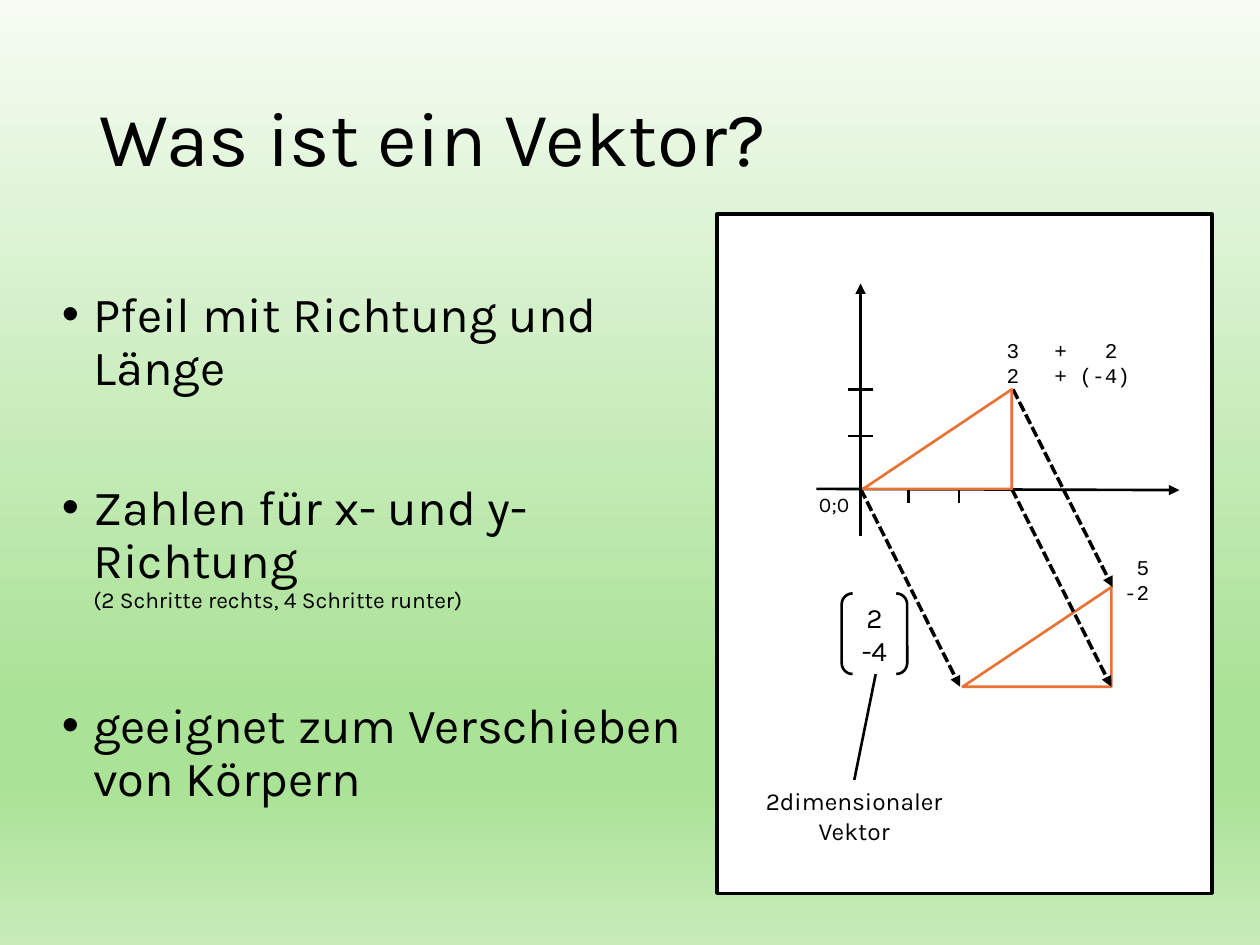
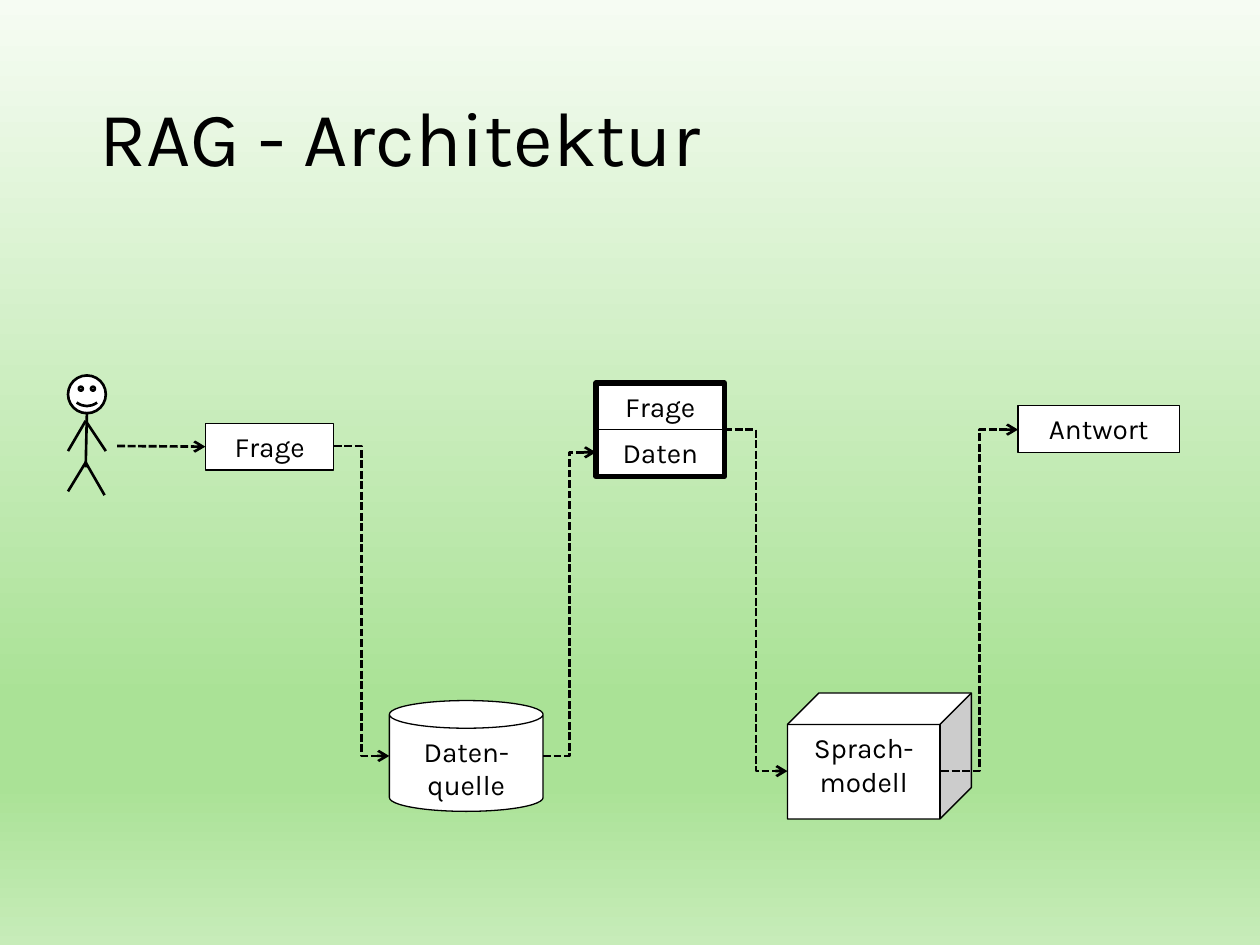
from dataclasses import dataclass

from lxml import etree
from pptx import Presentation
from pptx import util as u
from pptx.dml import color
from pptx.enum import dml, shapes, text
from pptx.oxml import ns

Inches = u.Inches
SHAPE = shapes.MSO_SHAPE
CENTER = text.PP_ALIGN.CENTER
LEFT = text.PP_ALIGN.LEFT
RIGHT = text.PP_ALIGN.RIGHT


@dataclass(frozen=True)
class Theme:
    ink: str = "000000"
    paper: str = "FFFFFF"
    accent: str = "E97132"
    backdrop: tuple = ((0, "F6FCF3"), (74, "AAE296"), (83, "AAE296"), (100, "C7ECB9"))
    font: str = "Karla"
    mono: str = "Courier New"
    title: int = 44
    body: int = 28
    label: int = 16
    caption: int = 14
    remark: int = 13
    small: int = 12
    thin: float = 0.75
    medium: float = 1.5
    strong: float = 2
    heavy: float = 3


def rgb(value):
    return color.RGBColor.from_string(value)


def add_xml(parent, tag, **attributes):
    return etree.SubElement(parent, ns.qn(tag), {k: str(v) for k, v in attributes.items()})


class Deck:
    def __init__(self, theme):
        self.theme = theme
        self.prs = Presentation()
        self.prs.slide_width, self.prs.slide_height = Inches(10), Inches(7.5)
        self.slide = None
        self.paint_master()

    def paint_master(self):
        """Give every slide the vertical green gradient."""
        master = self.prs.slide_master
        fill = master.background.fill
        fill.gradient()
        fill.gradient_angle = 270
        stops = master.element.find(".//" + ns.qn("a:gsLst"))
        for stop in list(stops):
            stops.remove(stop)
        for percent, value in self.theme.backdrop:
            add_xml(add_xml(stops, "a:gs", pos=percent * 1000), "a:srgbClr", val=value)

    def new_slide(self, title, layout):
        self.slide = self.prs.slides.add_slide(self.prs.slide_layouts[layout])
        heading = self.slide.shapes.title
        self.place(heading, 0.69, 0.4, 8.62, 1.45)
        frame = heading.text_frame
        frame.auto_size = text.MSO_AUTO_SIZE.NONE
        frame.vertical_anchor = text.MSO_ANCHOR.MIDDLE
        self.set_lines(frame, [title], self.theme.title, align=LEFT)
        frame.paragraphs[0].line_spacing = 0.9

    def place(self, shape, left, top, width, height):
        shape.left, shape.top = Inches(left), Inches(top)
        shape.width, shape.height = Inches(width), Inches(height)

    def add_run(self, paragraph, words, size, font=None):
        run = paragraph.add_run()
        run.text = words
        run.font.size = u.Pt(size)
        run.font.name = font or self.theme.font
        run.font.color.rgb = rgb(self.theme.ink)

    def set_lines(self, frame, lines, size, font=None, align=CENTER):
        for index, line in enumerate(lines):
            paragraph = frame.add_paragraph() if index else frame.paragraphs[0]
            paragraph.alignment = align
            self.add_run(paragraph, line, size, font)

    def bullets(self, items, left, top, width, height):
        """Each item is its main words and an optional small second line."""
        body = self.slide.placeholders[1]
        self.place(body, left, top, width, height)
        frame = body.text_frame
        frame.auto_size = text.MSO_AUTO_SIZE.NONE
        for index, (words, remark) in enumerate(items):
            paragraph = frame.add_paragraph() if index else frame.paragraphs[0]
            paragraph.line_spacing = 0.9
            paragraph.space_before = u.Pt(50 if index else 0)
            props = paragraph._p.get_or_add_pPr()
            props.set("marL", str(Inches(0.25)))
            props.set("indent", str(Inches(-0.25)))
            self.add_run(paragraph, words, self.theme.body)
            if remark:
                paragraph.add_line_break()
                add_xml(paragraph._p[-1], "a:rPr", sz=self.theme.body * 100)
                self.add_run(paragraph, remark, self.theme.remark)

    def label(self, lines, left, top, width, height, size, font=None, align=CENTER):
        box = self.slide.shapes.add_textbox(
            Inches(left), Inches(top), Inches(width), Inches(height))
        box.text_frame.word_wrap = True
        self.set_lines(box.text_frame, lines, size, font, align)
        return box

    def shape(self, kind, left, top, width, height, weight, line=None, filled=True, words=None):
        item = self.slide.shapes.add_shape(
            kind, Inches(left), Inches(top), Inches(width), Inches(height))
        item.shadow.inherit = False
        if filled:
            item.fill.solid()
            item.fill.fore_color.rgb = rgb(self.theme.paper)
        else:
            item.fill.background()
        item.line.color.rgb = rgb(line or self.theme.ink)
        item.line.width = u.Pt(weight)
        if words:
            item.text_frame.vertical_anchor = text.MSO_ANCHOR.TOP
            self.set_lines(item.text_frame, [words], self.theme.label)
        return item

    def line(self, start, end, weight=None, head=None, dashed=False,
             kind=shapes.MSO_CONNECTOR.STRAIGHT):
        link = self.slide.shapes.add_connector(
            kind, *(Inches(value) for value in (*start, *end)))
        link.line.color.rgb = rgb(self.theme.ink)
        link.line.width = u.Pt(weight or self.theme.medium)
        if dashed:
            link.line.dash_style = dml.MSO_LINE.SQUARE_DOT
            link.line._ln.find(ns.qn("a:prstDash")).set("val", "sysDash")
        if head:
            add_xml(link.line._ln, "a:tailEnd", type=head)
        add_xml(link._element.spPr, "a:effectLst")
        return link

    def elbow(self, start, end, source, target):
        """Dashed bent arrow; source and target are (shape, connection site)."""
        link = self.line(start, end, head="arrow", dashed=True,
                         kind=shapes.MSO_CONNECTOR.ELBOW)
        joints = link._element.find(".//" + ns.qn("p:cNvCxnSpPr"))
        for tag, (item, site) in (("a:stCxn", source), ("a:endCxn", target)):
            add_xml(joints, tag, id=item.shape_id, idx=site)


def right_triangle(deck, left, top):
    triangle = deck.shape(SHAPE.ISOSCELES_TRIANGLE, left, top, 1.18, 0.79,
                          deck.theme.medium, line=deck.theme.accent)
    triangle.adjustments[0] = 1


def vector_slide(deck):
    theme = deck.theme
    deck.new_slide("Was ist ein Vektor?", layout=1)
    deck.bullets([
        ("Pfeil mit Richtung und Länge", None),
        ("Zahlen für x- und y-Richtung", "(2 Schritte rechts, 4 Schritte runter)"),
        ("geeignet zum Verschieben von Körpern", None),
    ], 0.39, 2.25, 5.3, 4.15)
    deck.shape(SHAPE.RECTANGLE, 5.69, 1.7, 3.93, 5.39, theme.strong)

    vector = deck.shape(SHAPE.DOUBLE_BRACKET, 6.68, 4.71, 0.52, 0.64,
                        theme.medium, filled=False)
    frame = vector.text_frame
    frame.margin_left = frame.margin_right = frame.margin_top = frame.margin_bottom = 0
    frame.word_wrap = False
    frame.vertical_anchor = text.MSO_ANCHOR.MIDDLE
    deck.set_lines(frame, ["2", "-4"], theme.label)
    deck.label(["2dimensionaler", "Vektor"], 5.53, 6.19, 2.5, 0.56, theme.caption)
    deck.line((6.78, 6.19), (6.95, 5.35))

    right_triangle(deck, 7.64, 4.66)
    for x, y in ((8.04, 3.09), (8.03, 3.88), (6.83, 3.88)):
        deck.line((x, y), (x + 0.79, y + 1.57), theme.strong, "triangle", dashed=True)

    for x in (7.21, 7.61):
        deck.line((x, 3.99), (x, 3.79))
    for y in (3.09, 3.46):
        deck.line((6.73, y), (6.93, y))
    deck.line((6.83, 4.25), (6.83, 2.25), head="triangle")
    deck.line((6.48, 3.88), (9.36, 3.89), head="triangle")
    deck.label(["0;0"], 6.24, 3.85, 0.76, 0.3, theme.small)
    right_triangle(deck, 6.85, 3.09)

    deck.label(["3", "2"], 7.89, 2.63, 0.37, 0.5, theme.small, theme.mono, LEFT)
    deck.label(["5", "-2"], 8.82, 4.35, 0.4, 0.5, theme.small, theme.mono, RIGHT)
    shift = deck.label(["+\t2", "+\t(-4)"], 8.27, 2.63, 1.04, 0.5,
                       theme.small, theme.mono, LEFT)
    for paragraph, stop in zip(shift.text_frame.paragraphs, (0.4, 0.2)):
        tabs = add_xml(paragraph._p.get_or_add_pPr(), "a:tabLst")
        add_xml(tabs, "a:tab", pos=Inches(stop), algn="l")


def stick_figure(deck):
    deck.shape(SHAPE.SMILEY_FACE, 0.54, 2.98, 0.3, 0.3, deck.theme.medium)
    shoulder, hip = (0.68, 3.34), (0.68, 3.67)
    deck.line((0.69, 3.27), (0.68, 3.71))
    for limb_end, joint in (((0.54, 3.58), shoulder), ((0.84, 3.58), shoulder),
                            ((0.54, 3.9), hip), ((0.83, 3.93), hip)):
        deck.line(limb_end, joint)


def rag_slide(deck):
    theme = deck.theme
    deck.new_slide("RAG - Architektur", layout=5)
    stick_figure(deck)

    def step(words, left, top, width=1.02, height=0.37, kind=SHAPE.RECTANGLE):
        return deck.shape(kind, left, top, width, height, theme.thin, words=words)

    question = step("Frage", 1.63, 3.36)
    source = step("Daten-quelle", 3.09, 5.56, 1.22, 0.88, SHAPE.CAN)
    model = step("Sprach-modell", 6.25, 5.5, 1.46, 1, SHAPE.CUBE)
    step("Frage", 4.73, 3.04)
    found_data = step("Daten", 4.73, 3.41)
    answer = step("Antwort", 8.08, 3.22, 1.28)
    prompt = deck.shape(SHAPE.RECTANGLE, 4.73, 3.04, 1.02, 0.74, theme.heavy, filled=False)

    asking = deck.line((0.93, 3.54), (1.63, 3.54), head="arrow", dashed=True)
    asking.end_connect(question, 1)
    # Rectangles have sites 1 and 3 at left and right, can and cube 2 and 4.
    deck.elbow((2.65, 3.54), (3.09, 6), (question, 3), (source, 2))
    deck.elbow((4.31, 6), (4.73, 3.59), (source, 4), (found_data, 1))
    deck.elbow((5.75, 3.41), (6.25, 6.12), (prompt, 3), (model, 2))
    deck.elbow((7.47, 6.12), (8.08, 3.41), (model, 4), (answer, 1))


def main():
    deck = Deck(Theme())
    vector_slide(deck)
    rag_slide(deck)
    deck.prs.save("out.pptx")


if __name__ == "__main__":
    main()
